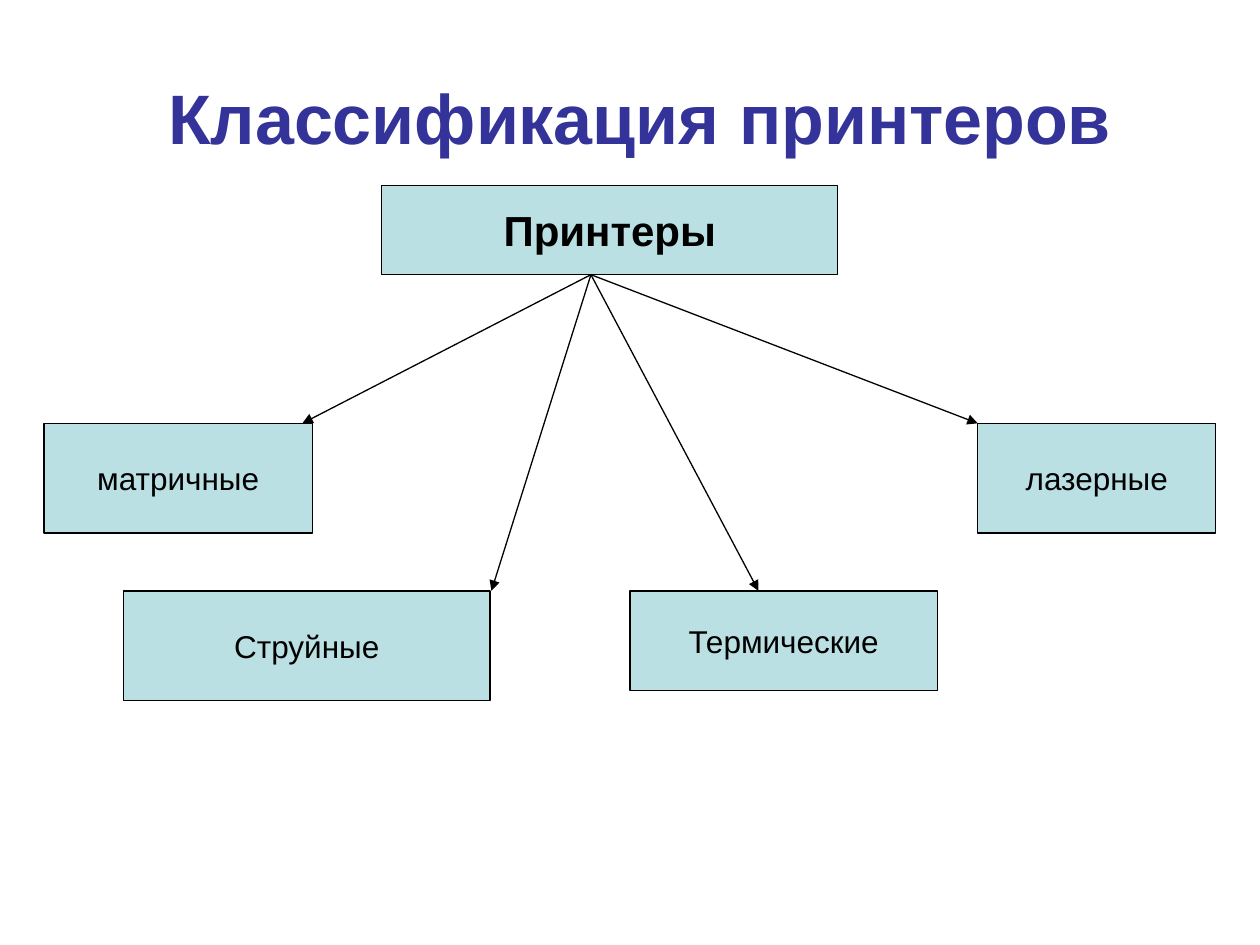
import pptx
import pptx.util
import pptx.dml.color
import pptx.enum.shapes
import pptx.enum.text
import pptx.oxml.ns
from lxml import etree

WIDTH, HEIGHT = 10, 7.5
FONT = "Arial"
INK, BOX_FILL, TITLE_COLOR = "000000", "BBE0E3", "333399"

TITLE = "Классификация принтеров"
TITLE_AREA = (5, 4, 90, 16.67)
ROOT = ("Принтеры", (30.3, 19.6, 36.2, 9.47))
HUB_X = 46.9
UPPER, LOWER = 44.8, 62.53
KINDS = [
    ("матричные", 3.5, UPPER, 21.3, 11.6, 24),
    ("Струйные", 9.8, LOWER, 29.1, 11.6, 39),
    ("Термические", 50, LOWER, 24.4, 10.53, 60.2),
    ("лазерные", 77.6, UPPER, 18.9, 11.6, 77.6),
]


def color(value):
    return pptx.dml.color.RGBColor.from_string(value)


def x(share):
    return pptx.util.Inches(WIDTH * share / 100)


def y(share):
    return pptx.util.Inches(HEIGHT * share / 100)


def place(area):
    left, top, width, height = area
    return x(left), y(top), x(width), y(height)


def write(sp, text, size, ink, bold=False, wrap=False):
    tf = sp.text_frame
    tf.word_wrap = wrap
    tf.vertical_anchor = pptx.enum.text.MSO_ANCHOR.MIDDLE
    p = tf.paragraphs[0]
    p.alignment = pptx.enum.text.PP_ALIGN.CENTER
    r = p.add_run()
    r.text = text
    r.font.name = FONT
    r.font.size = pptx.util.Pt(size)
    r.font.bold = bold
    r.font.color.rgb = color(ink)


def outline(line):
    line.color.rgb = color(INK)
    line.width = pptx.util.Pt(0.75)


def add_box(s, text, area, size, bold=False):
    sp = s.shapes.add_shape(pptx.enum.shapes.MSO_SHAPE.RECTANGLE, *place(area))
    sp.shadow.inherit = False
    sp.fill.solid()
    sp.fill.fore_color.rgb = color(BOX_FILL)
    outline(sp.line)
    write(sp, text, size, INK, bold)


def add_arrow(s, start, end):
    arrow = s.shapes.add_connector(
        pptx.enum.shapes.MSO_CONNECTOR.STRAIGHT,
        x(start[0]), y(start[1]), x(end[0]), y(end[1]))
    outline(arrow.line)
    qn = pptx.oxml.ns.qn
    props = arrow.element.spPr
    etree.SubElement(props.find(qn("a:ln")), qn("a:tailEnd"), type="triangle")
    etree.SubElement(props, qn("a:effectLst"))


def main():
    prs = pptx.Presentation()
    prs.slide_width = pptx.util.Inches(WIDTH)
    prs.slide_height = pptx.util.Inches(HEIGHT)
    s = prs.slides.add_slide(prs.slide_layouts[6])

    title = s.shapes.add_textbox(*place(TITLE_AREA))
    title.text_frame.margin_left = pptx.util.Inches(0.25)
    write(title, TITLE, 40, TITLE_COLOR, bold=True, wrap=True)

    root_text, root_area = ROOT
    add_box(s, root_text, root_area, 24, bold=True)
    hub = (HUB_X, root_area[1] + root_area[3])
    for text, left, top, width, height, tip_x in KINDS:
        add_arrow(s, hub, (tip_x, top))
        add_box(s, text, (left, top, width, height), 18)

    prs.save("out.pptx")


if __name__ == "__main__":
    main()
